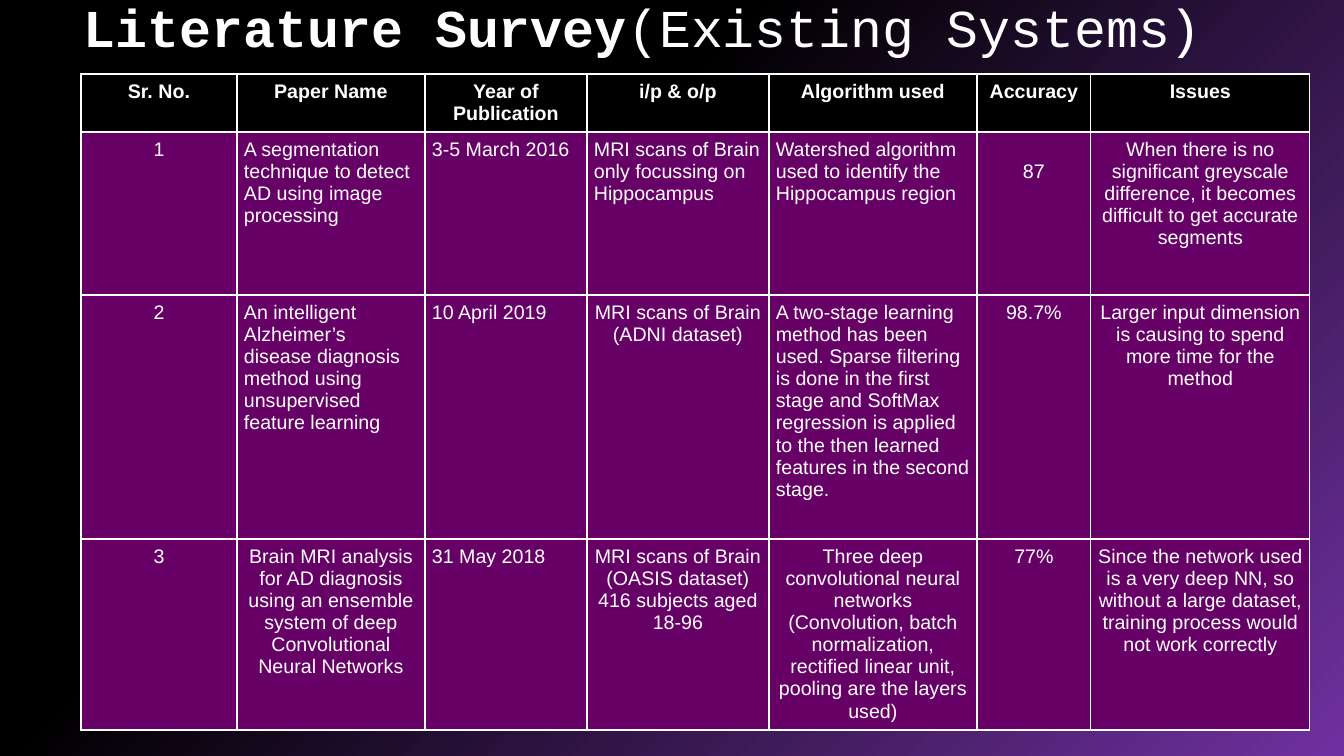
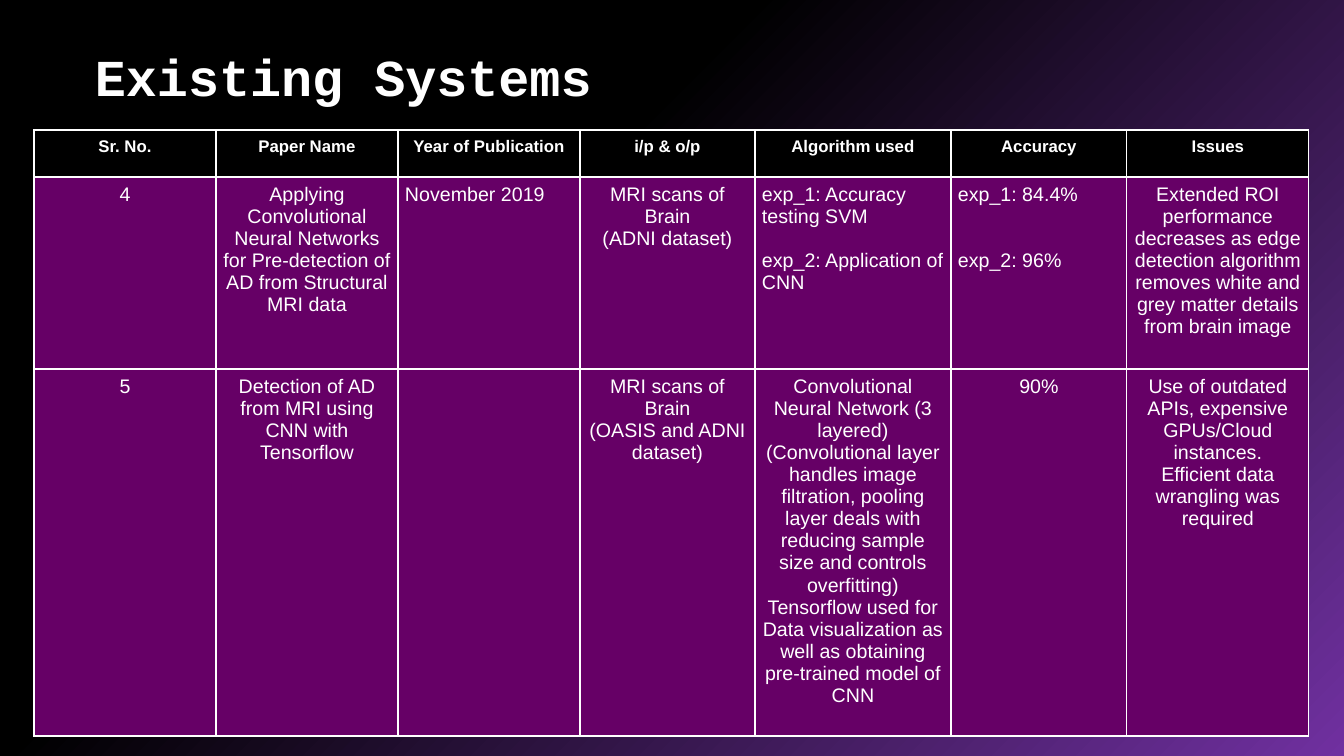
"""Build two literature survey slides with tables of existing systems."""
from lxml import etree
from pptx import Presentation
from pptx.dml.color import RGBColor
from pptx.enum.text import MSO_ANCHOR, PP_ALIGN
from pptx.oxml.ns import qn
from pptx.util import Pt

LEFT, CENTER = PP_ALIGN.LEFT, PP_ALIGN.CENTER
MIDDLE = MSO_ANCHOR.MIDDLE
PX = 914400 / 100.8
COLORS = {"text": "FFFFFF", "header": "000000", "body": "660066",
          "night": "000000", "violet": "7030A0"}
TITLE_FONT, TABLE_FONT = "Courier New", "Arial"
CELL_MARGIN = 7
HEADINGS = ["Sr. No.", "Paper Name", "Year of Publication", "i/p & o/p",
            "Algorithm used", "Accuracy", "Issues"]


def px(length):
    return round(length * PX)


def style_font(font, name, size, bold):
    font.name, font.size, font.bold = name, Pt(size), bold
    font.color.rgb = RGBColor.from_string(COLORS["text"])


surveys = [
    {
        "title": [("Literature Survey", True), ("(Existing Systems)", False)],
        "title_box": (74, 0, 1240, 60),
        "title_size": 38,
        "corner": (81, 74),
        "columns": [156, 188, 162, 182, 208, 114, 219],
        "header_height": 58,
        "header_size": 14,
        "gaps": {},
        "lowered": {(1, 5): 22},
        "papers": [
            (163, {1, 2, 3, 4}, [
                "1",
                "A segmentation technique to detect AD using image processing",
                "3-5 March 2016",
                "MRI scans of Brain only focussing on Hippocampus",
                "Watershed algorithm used to identify the Hippocampus region",
                "87",
                "When there is no significant greyscale difference, it becomes\n"
                "difficult to get accurate segments"]),
            (244, {1, 2, 4}, [
                "2",
                "An intelligent Alzheimer’s disease diagnosis method using "
                "unsupervised feature learning",
                "10 April 2019",
                "MRI scans of Brain\n(ADNI dataset)",
                "A two-stage learning method has been used. Sparse filtering is "
                "done in the first stage and SoftMax regression is applied to the "
                "then learned features in the second stage.",
                "98.7%",
                "Larger input dimension is causing to spend more time for the "
                "method"]),
            (191, {2}, [
                "3",
                "Brain MRI analysis for AD diagnosis using an ensemble system of "
                "deep Convolutional Neural Networks",
                "31 May 2018",
                "MRI scans of Brain\n(OASIS dataset)\n416 subjects aged 18-96",
                "Three deep convolutional neural networks\n"
                "(Convolution, batch normalization, rectified linear unit, pooling "
                "are the layers used)",
                "77%",
                "Since the network used is a very deep NN, so without a large "
                "dataset, training process would not work correctly"]),
        ],
    },
    {
        "title": [("Existing Systems", True)],
        "title_box": (85, 22, 1240, 115),
        "title_size": 37,
        "corner": (34, 130),
        "columns": [182, 182, 182, 175, 196, 176, 182],
        "header_height": 47,
        "header_size": 12,
        "gaps": {(1, 4): 22, (1, 5): 44},
        "lowered": {},
        "papers": [
            (192, {2, 4, 5}, [
                "4",
                "Applying Convolutional Neural Networks for Pre-detection of AD "
                "from Structural MRI data",
                "November 2019",
                "MRI scans of Brain\n(ADNI dataset)",
                "exp_1: Accuracy testing SVM\nexp_2: Application of CNN",
                "exp_1: 84.4%\nexp_2: 96%",
                "Extended ROI performance decreases as edge detection algorithm "
                "removes white and grey matter details from brain image"]),
            (344, {2}, [
                "5",
                "Detection of AD from MRI using CNN with Tensorflow",
                "",
                "MRI scans of Brain\n(OASIS and ADNI dataset)",
                "Convolutional Neural Network (3 layered)\n"
                "(Convolutional layer handles image filtration, pooling layer "
                "deals with reducing sample size and controls overfitting)\n"
                "Tensorflow used for Data visualization as well as obtaining "
                "pre-trained model of CNN",
                "90%",
                "Use of outdated APIs, expensive GPUs/Cloud instances.\n"
                "Efficient data wrangling was required"]),
        ],
    },
]

prs = Presentation()
prs.slide_width, prs.slide_height = px(1344), px(756)

backdrop = prs.slide_master.background.fill
backdrop.gradient()
backdrop.gradient_angle = 315
for stop, (position, color) in zip(backdrop.gradient_stops,
                                   [(0.36, "night"), (1.0, "violet")]):
    stop.position = position
    stop.color.rgb = RGBColor.from_string(COLORS[color])

for survey in surveys:
    slide = prs.slides.add_slide(prs.slide_layouts[6])

    rows = [(survey["header_height"], set(), HEADINGS)] + survey["papers"]
    columns = survey["columns"]
    heights = [height for height, _, _ in rows]
    papers = slide.shapes.add_table(
        len(rows), len(columns), *map(px, survey["corner"]),
        px(sum(columns)), px(sum(heights))).table
    papers.first_row = papers.horz_banding = False
    for column, width in zip(papers.columns, columns):
        column.width = px(width)

    for r, (height, left_columns, texts) in enumerate(rows):
        papers.rows[r].height = px(height)
        is_header = r == 0
        for c, text in enumerate(texts):
            cell = papers.cell(r, c)
            properties = cell._tc.get_or_add_tcPr()
            for side in ("lnL", "lnR", "lnT", "lnB"):
                border = etree.SubElement(properties, qn("a:" + side), w=str(Pt(1)))
                paint = etree.SubElement(border, qn("a:solidFill"))
                etree.SubElement(paint, qn("a:srgbClr"), val=COLORS["text"])
            cell.fill.solid()
            cell.fill.fore_color.rgb = RGBColor.from_string(
                COLORS["header" if is_header else "body"])
            cell.margin_left = cell.margin_right = cell.margin_bottom = px(CELL_MARGIN)
            cell.margin_top = px(CELL_MARGIN + survey["lowered"].get((r, c), 0))
            cell.text_frame.text = text
            for i, paragraph in enumerate(cell.text_frame.paragraphs):
                paragraph.alignment = LEFT if c in left_columns else CENTER
                if i and (r, c) in survey["gaps"]:
                    paragraph.space_before = px(survey["gaps"][r, c])
                size = survey["header_size"] if is_header else 14
                for run in paragraph.runs:
                    style_font(run.font, TABLE_FONT, size, is_header)

    heading = slide.shapes.add_textbox(*map(px, survey["title_box"])).text_frame
    heading.word_wrap = True
    heading.vertical_anchor = MIDDLE
    heading.paragraphs[0].line_spacing = 0.9
    for words, bold in survey["title"]:
        run = heading.paragraphs[0].add_run()
        run.text = words
        style_font(run.font, TITLE_FONT, survey["title_size"], bold)

prs.save("out.pptx")
